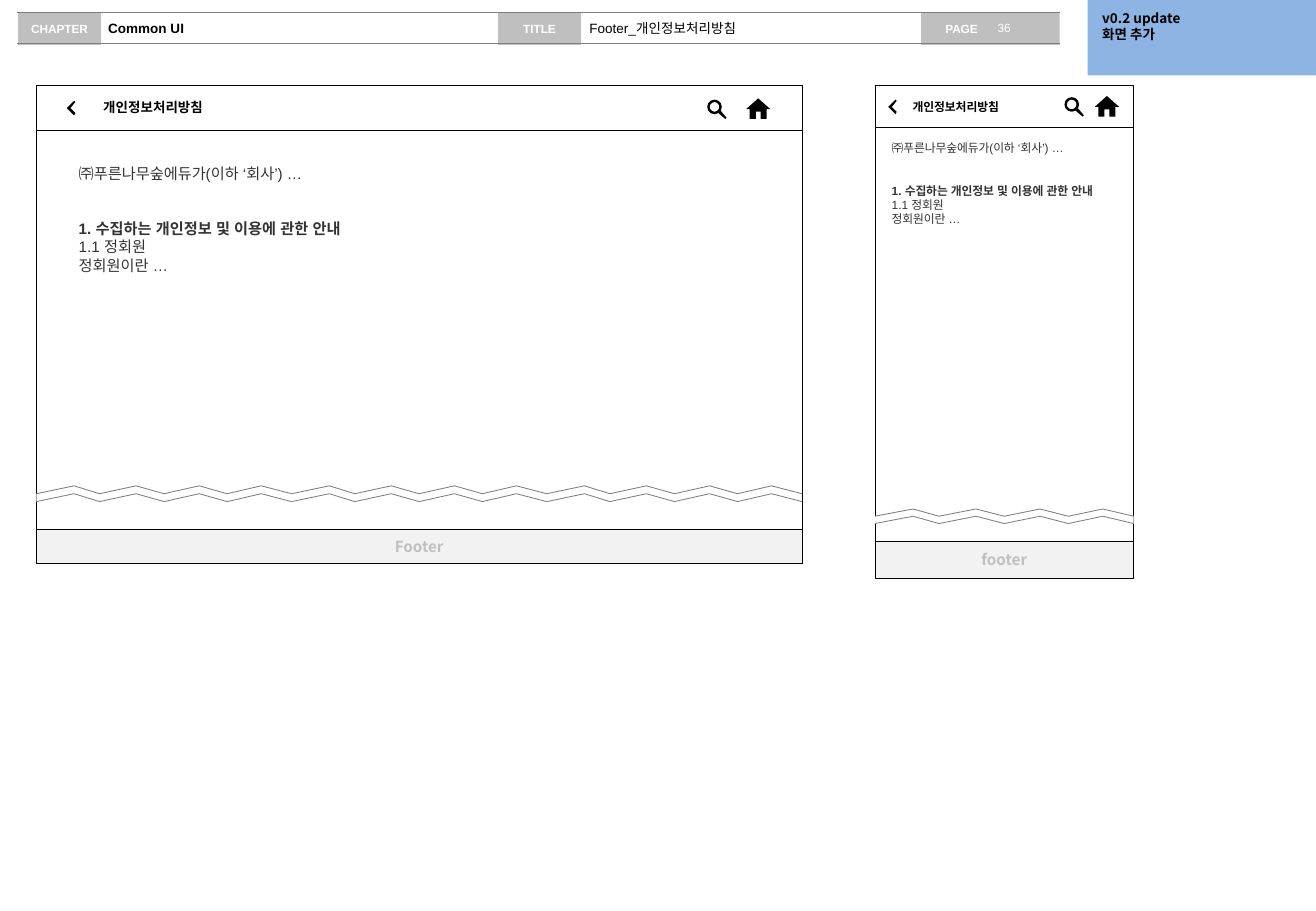
"""Build the wireframe page for the privacy policy screen, desktop and phone."""
import lxml.etree
import pptx
import pptx.dml.color
import pptx.enum.shapes
import pptx.enum.text
import pptx.oxml.ns
import pptx.util

Inches = pptx.util.Inches
Pt = pptx.util.Pt
qn = pptx.oxml.ns.qn
Preset = pptx.enum.shapes.MSO_SHAPE
Anchor = pptx.enum.text.MSO_ANCHOR
Align = pptx.enum.text.PP_ALIGN

COLORS = {
    "black": "000000", "white": "FFFFFF", "ink": "333333", "tag": "BFBFBF",
    "rule": "7F7F7F", "tear": "808080", "footer": "F2F2F2",
    "footer text": "BFBFBF", "note": "8EB4E3",
}
LATIN = "Arial"
KOREAN = "Noto Sans CJK KR"

deck = pptx.Presentation()
deck.slide_width = Inches(10.83)
deck.slide_height = Inches(7.5)
page = deck.slides.add_slide(deck.slide_layouts[6])


def rgb(name):
    return pptx.dml.color.RGBColor.from_string(COLORS[name])


def add_box(place, lines=(), fill=None, line=None, size=8, color="black", bold=False,
            font=LATIN, left=0.1, right=0.1, top=0.05, anchor=Anchor.MIDDLE,
            align=Align.LEFT, pitch=None, gaps=()):
    left_top_size = [Inches(value) for value in place]
    if fill or line:
        box = page.shapes.add_shape(Preset.RECTANGLE, *left_top_size)
        box.shadow.inherit = False
        box.fill.background()
        box.line.fill.background()
        if fill:
            box.fill.solid()
            box.fill.fore_color.rgb = rgb(fill)
        if line:
            box.line.color.rgb = rgb(line)
            box.line.width = Pt(0.25)
    else:
        box = page.shapes.add_textbox(*left_top_size)
    frame = box.text_frame
    frame.word_wrap = True
    frame.vertical_anchor = anchor
    frame.margin_left, frame.margin_right = Inches(left), Inches(right)
    frame.margin_top, frame.margin_bottom = Inches(top), Inches(0.05)
    for index, words in enumerate(lines):
        para = frame.paragraphs[0] if index == 0 else frame.add_paragraph()
        para.alignment = align
        if pitch:
            para.line_spacing = Pt(pitch)
        if index < len(gaps) and gaps[index]:
            para.space_before = Pt(gaps[index])
        span = para.add_run()
        span.text = words
        span.font.name = font
        span.font.size = Pt(size)
        span.font.bold = bold
        span.font.color.rgb = rgb(color)
        east_asian = lxml.etree.SubElement(span.font._element, qn("a:ea"))
        east_asian.set("typeface", font)
    return box


def add_outline(contours, fill=None, line=None):
    paths = [[(Inches(x), Inches(y)) for x, y in contour] for contour in contours]
    builder = page.shapes.build_freeform(*paths[0][0], scale=1.0)
    for number, corners in enumerate(paths):
        if number:
            builder.move_to(*corners[0])
        builder.add_line_segments(corners[1:], close=bool(fill))
    outline = builder.convert_to_shape()
    outline.shadow.inherit = False
    outline.fill.background()
    outline.line.fill.background()
    if fill:
        outline.fill.solid()
        outline.fill.fore_color.rgb = rgb(fill)
    if line:
        outline.line.color.rgb = rgb(line)
        outline.line.width = Pt(0.5)


add_box((7.58, 0.1, 1.14, 0.27), ["PAGE"], fill="tag", size=7, color="white",
        bold=True, left=0.2)
add_box((8.17, 0.12, 0.55, 0.22), ["36"], size=7, color="white", left=0.04,
        right=0, anchor=Anchor.TOP)
for tag_left, label in ((0.15, "CHAPTER"), (4.1, "TITLE")):
    add_box((tag_left, 0.1, 0.68, 0.27), [label], fill="tag", size=7, color="white",
            bold=True, left=0.05, right=0.05, align=Align.CENTER)
for rule_top in (0.1, 0.36):
    rule = page.shapes.add_connector(pptx.enum.shapes.MSO_CONNECTOR.STRAIGHT,
                                     Inches(0.14), Inches(rule_top),
                                     Inches(8.72), Inches(rule_top))
    rule.line.color.rgb = rgb("rule")
    rule.line.width = Pt(0.75)
    lxml.etree.SubElement(rule._element.spPr, qn("a:effectLst"))
add_box((0.83, 0.11, 3.27, 0.24), ["Common UI"], bold=True, left=0.06, right=0)
add_box((4.79, 0.11, 2.8, 0.24), ["Footer_개인정보처리방침"], left=0.06, right=0)

SCREENS = [
    dict(left=0.3, width=6.3, body=3.94, bar=0.37, title_inset=0.55, title_size=8,
         back=(0.55, 0.83), search=(5.82, 0.82), home=(6.14, 0.81),
         policy=(0.55, 1.3, 5.77, 1.01), size=9, pitch=10.9, gap=21.7,
         footer=(4.36, 0.28), label="Footer", tear=(4.0, 0.065), tiles=3),
    dict(left=7.2, width=2.13, body=3.76, bar=0.35, title_inset=0.31, title_size=7,
         back=(7.31, 0.82), search=(8.76, 0.8), home=(9.01, 0.79),
         policy=(7.24, 1.11, 2.09, 0.81), size=7, pitch=8.4, gap=17,
         footer=(4.46, 0.3), label="footer", tear=(4.19, 0.06), tiles=1),
]
POLICY = ["㈜푸른나무숲에듀가(이하 ‘회사’) …", "1. 수집하는 개인정보 및 이용에 관한 안내",
          "1.1 정회원", "정회원이란 …"]
BACK = [(0.07, 0.01), (0.06, 0), (0, 0.06), (0.06, 0.12), (0.07, 0.1), (0.03, 0.06)]
HOME = [(0.08, 0.17), (0.08, 0.11), (0.12, 0.11), (0.12, 0.17), (0.17, 0.17),
        (0.17, 0.09), (0.2, 0.09), (0.1, 0), (0, 0.09), (0.03, 0.09), (0.03, 0.17)]
HANDLE = [(0.09, 0.11), (0.11, 0.09), (0.16, 0.15), (0.15, 0.16)]
TOOTH = [0, 0.31, 0.52, 0.82, 1.05, 1.34, 1.57, 1.85, 2.1]

for screen in SCREENS:
    left, width = screen["left"], screen["width"]
    add_box((left, 0.7, width, screen["body"]), line="black")
    add_box((left, 0.7, width, screen["bar"]), ["개인정보처리방침"], fill="white",
            line="black", size=screen["title_size"], bold=True, font=KOREAN,
            left=screen["title_inset"])
    footer_top, footer_height = screen["footer"]
    add_box((left, footer_top, width, footer_height), [screen["label"]], fill="footer",
            line="black", size=9, color="footer text", bold=True, font=KOREAN,
            align=Align.CENTER)

    tear_top, tear_step = screen["tear"]
    tile = width / screen["tiles"]
    for number in range(screen["tiles"]):
        upper = [(left + tile * (number + offset / TOOTH[-1]),
                  tear_top + tear_step * (1 - index % 2))
                 for index, offset in enumerate(TOOTH)]
        lower = [(x, y + tear_step) for x, y in upper]
        add_outline([upper + lower[::-1]], fill="white")
        add_outline([lower, upper[::-1]], line="tear")

    policy = add_box(screen["policy"], POLICY, size=screen["size"], color="ink",
                     anchor=Anchor.TOP, pitch=screen["pitch"], gaps=(0, screen["gap"]))
    policy.text_frame.paragraphs[1].runs[0].font.bold = True

    for icon, points in (("back", BACK), ("home", HOME), ("search", HANDLE)):
        icon_left, icon_top = screen[icon]
        add_outline([[(icon_left + x, icon_top + y) for x, y in points]], fill="black")
    search_left, search_top = screen["search"]
    lens = page.shapes.add_shape(Preset.DONUT, Inches(search_left), Inches(search_top),
                                 Inches(0.12), Inches(0.12))
    lens.adjustments[0] = 0.17
    lens.shadow.inherit = False
    lens.fill.solid()
    lens.fill.fore_color.rgb = rgb("black")
    lens.line.fill.background()

add_box((8.95, 0, 1.88, 0.62), ["v0.2 update", "화면 추가"], fill="note", bold=True,
        font=KOREAN, left=0.12, top=0.09, anchor=Anchor.TOP, pitch=9.2)

deck.save("out.pptx")
